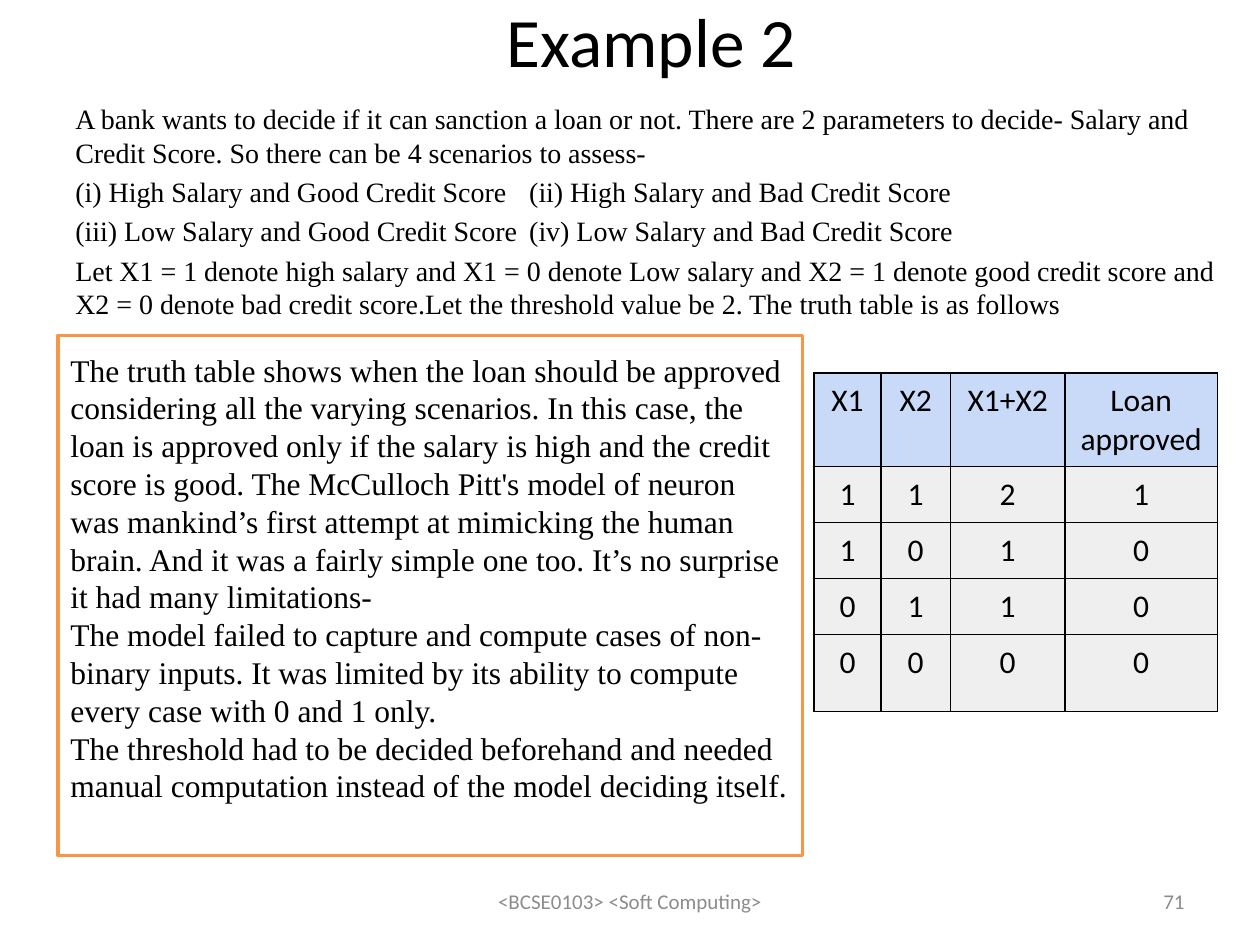
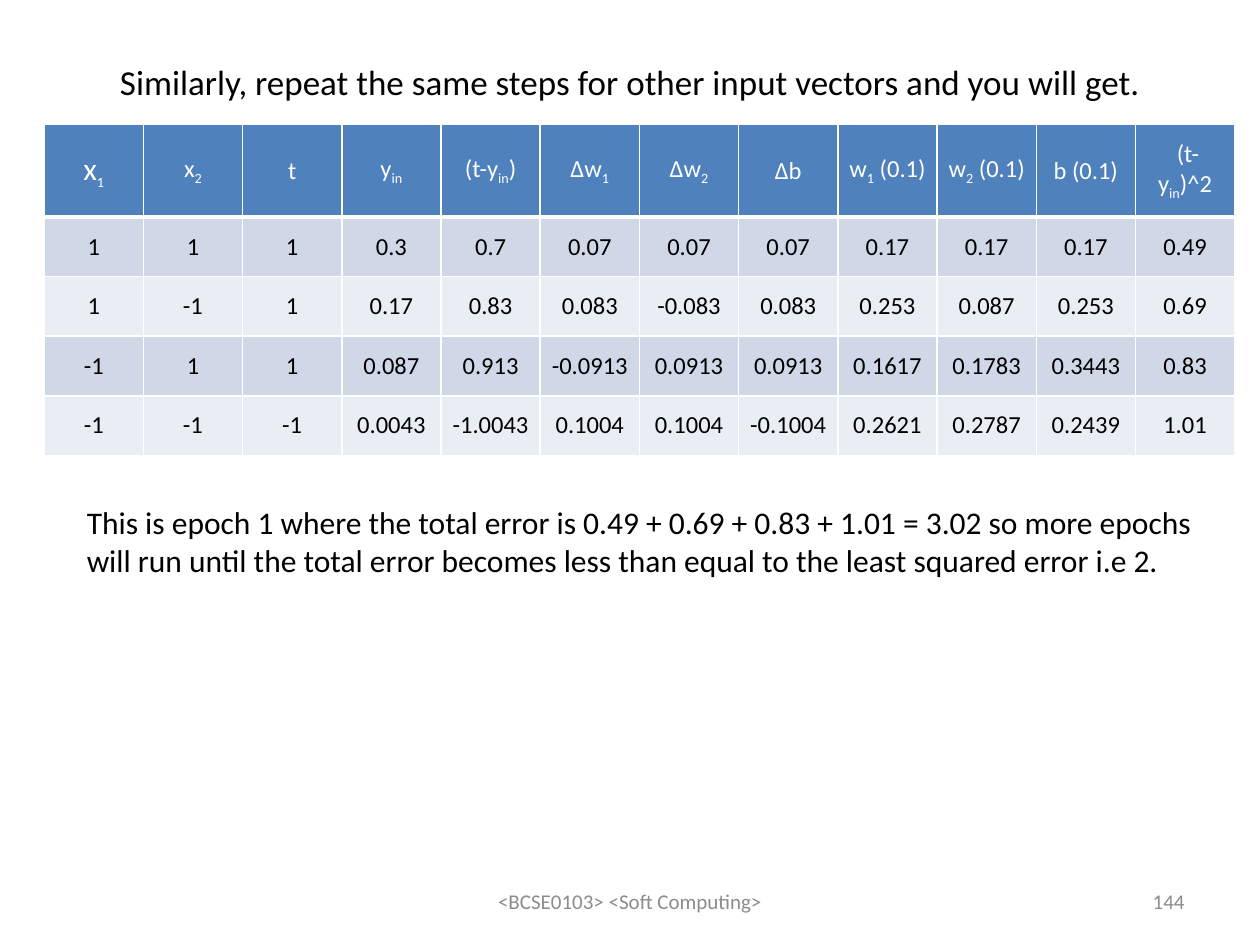
"""Build two soft computing slides: a loan truth table and a training epoch."""
from lxml.etree import SubElement
from pptx import Presentation
from pptx.dml.color import RGBColor as RGB
from pptx.enum.shapes import MSO_SHAPE as SHAPE
from pptx.enum.text import MSO_ANCHOR as ANCHOR, PP_ALIGN as ALIGN
from pptx.oxml.ns import qn
from pptx.util import Cm, Pt

COLORS = {
    "text": "000000", "paper": "FFFFFF", "footer": "8C8C8C", "frame": "F79646",
    "truth_head": "C9DAF8", "truth_row": "EFEFEF",
    "epoch_head": "4F81BD", "epoch_odd": "D0D8E8", "epoch_even": "E9EDF4",
}
SANS, SERIF = "Calibri", "Times New Roman"


def write(frame, lines, size, font=SANS, color="text", align=ALIGN.LEFT,
          anchor=None, gap=0, tab=None):
    """Fill a text frame; text between underscores becomes a subscript."""
    frame.word_wrap = True
    if anchor is not None:
        frame.vertical_anchor = anchor
    for number, line in enumerate(lines):
        paragraph = frame.add_paragraph() if number else frame.paragraphs[0]
        paragraph.alignment = align
        if number and gap:
            paragraph.space_before = Pt(gap)
        if tab and "\t" in line:
            stops = SubElement(paragraph._p.get_or_add_pPr(), qn("a:tabLst"))
            SubElement(stops, qn("a:tab"), pos=str(Cm(tab)), algn="l")
        paragraph.font.size = Pt(size)
        paragraph.font.name = font
        paragraph.font.color.rgb = RGB.from_string(COLORS[color])
        for part, words in enumerate(line.split("_")):
            if words:
                run = paragraph.add_run()
                run.text = words
                if part % 2:
                    run._r.get_or_add_rPr().set("baseline", "-25000")


def add_grid(slide, left, top, widths, heights, rows, fills, size, margins,
             border, head_color="text", head_rule=1, anchor=ANCHOR.TOP):
    """Add a bordered table whose first row is the heading."""
    grid = slide.shapes.add_table(len(rows), len(widths), Cm(left), Cm(top),
                                  Cm(sum(widths)), Cm(sum(heights))).table
    grid.first_row = grid.horz_banding = False
    for column, width in zip(grid.columns, widths):
        column.width = Cm(width)
    for r, (row, height, fill) in enumerate(zip(rows, heights, fills)):
        grid.rows[r].height = Cm(height)
        for c, entry in enumerate(row):
            cell = grid.cell(r, c)
            cell.margin_left = cell.margin_right = Cm(margins[0])
            cell.margin_top = cell.margin_bottom = Cm(margins[1])
            cell.vertical_anchor = anchor
            for side in "LRTB":
                thick = (r, side) in ((0, "B"), (1, "T"))
                rule = SubElement(cell._tc.get_or_add_tcPr(), qn(f"a:ln{side}"),
                                  w=str(Pt(head_rule if thick else 1)))
                paint = SubElement(rule, qn("a:solidFill"))
                SubElement(paint, qn("a:srgbClr"), val=COLORS[border])
            cell.fill.solid()
            cell.fill.fore_color.rgb = RGB.from_string(COLORS[fill])
            write(cell.text_frame, [entry], size, align=ALIGN.CENTER,
                  color="text" if r else head_color)
    return grid


deck = Presentation()
deck.slide_width, deck.slide_height = Cm(25.4), Cm(19.05)

slides = []
for title, title_size, title_place, page in (
    ("Example 2", 39.6, (1.7, 0.08, 22.86, 1.45), "71"),
    ("Similarly, repeat the same steps for other input vectors and you will get.",
     20, (1.27, 0.76, 22.86, 1.75), "144"),
):
    slide = deck.slides.add_slide(deck.slide_layouts[6])
    slides.append(slide)
    for words, size, color, align, place in (
        (title, title_size, "text", ALIGN.CENTER, title_place),
        ("<BCSE0103> <Soft Computing>", 12, "footer", ALIGN.CENTER,
         (8.68, 17.66, 8.04, 1.01)),
        (page, 12, "footer", ALIGN.RIGHT, (18.2, 17.66, 5.93, 1.01)),
    ):
        box = slide.shapes.add_textbox(*map(Cm, place))
        write(box.text_frame, [words], size, color=color, align=align,
              anchor=ANCHOR.MIDDLE)
loan, epoch = slides

scenario = loan.shapes.add_textbox(Cm(1.27), Cm(1.93), Cm(24.13), Cm(15.75))
write(scenario.text_frame, [
    "A bank wants to decide if it can sanction a loan or not. There are 2 parameters "
    "to decide- Salary and Credit Score. So there can be 4 scenarios to assess-",
    "(i) High Salary and Good Credit Score\t(ii) High Salary and Bad Credit Score",
    "(iii) Low Salary and Good Credit Score\t(iv) Low Salary and Bad Credit Score",
    "Let X1 = 1 denote high salary and X1 = 0 denote Low salary and X2 = 1 denote good "
    "credit score and X2 = 0 denote bad credit score.Let the threshold value be 2. "
    "The truth table is as follows",
], 16, SERIF, gap=3.2, tab=9.15)

inputs = [(1, 1), (1, 0), (0, 1), (0, 0)]
truth = [["X1", "X2", "X1+X2", "Loan approved"]]
truth += [[str(n) for n in (x1, x2, x1 + x2, int(x1 + x2 >= 2))] for x1, x2 in inputs]
add_grid(loan, 16.41, 7.52, [1.35, 1.4, 2.31, 3.07], [1.88, 1.13, 1.13, 1.13, 1.55],
         truth, ["truth_head"] + ["truth_row"] * 4, 18, (0.18, 0.18), "text")

limits = loan.shapes.add_shape(SHAPE.RECTANGLE, Cm(1.17), Cm(6.76), Cm(15.01), Cm(10.49))
limits.shadow.inherit = False
limits.fill.solid()
limits.fill.fore_color.rgb = RGB.from_string(COLORS["paper"])
limits.line.color.rgb = RGB.from_string(COLORS["frame"])
limits.line.width = Pt(2)
limits.text_frame.margin_top = Cm(0.31)
write(limits.text_frame, [
    "The truth table shows when the loan should be approved considering all the varying "
    "scenarios. In this case, the loan is approved only if the salary is high and the "
    "credit score is good. The McCulloch Pitt's model of neuron was mankind’s first "
    "attempt at mimicking the human brain. And it was a fairly simple one too. It’s no "
    "surprise it had many limitations-",
    "The model failed to capture and compute cases of non-binary inputs. It was limited "
    "by its ability to compute every case with 0 and 1 only.",
    "The threshold had to be decided beforehand and needed manual computation instead "
    "of the model deciding itself.",
], 18, SERIF, anchor=ANCHOR.TOP)

training = [
    ["x_1", "x_2", "t", "y_in", "(t-y_in_)", "∆w_1", "∆w_2", "∆b",
     "w_1_ (0.1)", "w_2_ (0.1)", "b (0.1)", " (t-y_in_)^2"],
    "1 1 1 0.3 0.7 0.07 0.07 0.07 0.17 0.17 0.17 0.49".split(),
    "1 -1 1 0.17 0.83 0.083 -0.083 0.083 0.253 0.087 0.253 0.69".split(),
    "-1 1 1 0.087 0.913 -0.0913 0.0913 0.0913 0.1617 0.1783 0.3443 0.83".split(),
    "-1 -1 -1 0.0043 -1.0043 0.1004 0.1004 -0.1004 0.2621 0.2787 0.2439 1.01".split(),
]
weights = add_grid(epoch, 0.89, 2.51, [2] * 12, [1.85] + [1.2] * 4, training,
                   ["epoch_head"] + ["epoch_odd", "epoch_even"] * 2, 14, (0.2, 0.3),
                   "paper", head_color="paper", head_rule=3, anchor=ANCHOR.MIDDLE)
weights.cell(0, 0).text_frame.paragraphs[0].runs[0].font.size = Pt(18)

total_error = epoch.shapes.add_textbox(Cm(1.5), Cm(10.01), Cm(23.01), Cm(1.8))
write(total_error.text_frame, [
    "This is epoch 1 where the total error is 0.49 + 0.69 + 0.83 + 1.01 = 3.02 so more "
    "epochs will run until the total error becomes less than equal to the least squared "
    "error i.e 2.",
], 18)

deck.save("out.pptx")
